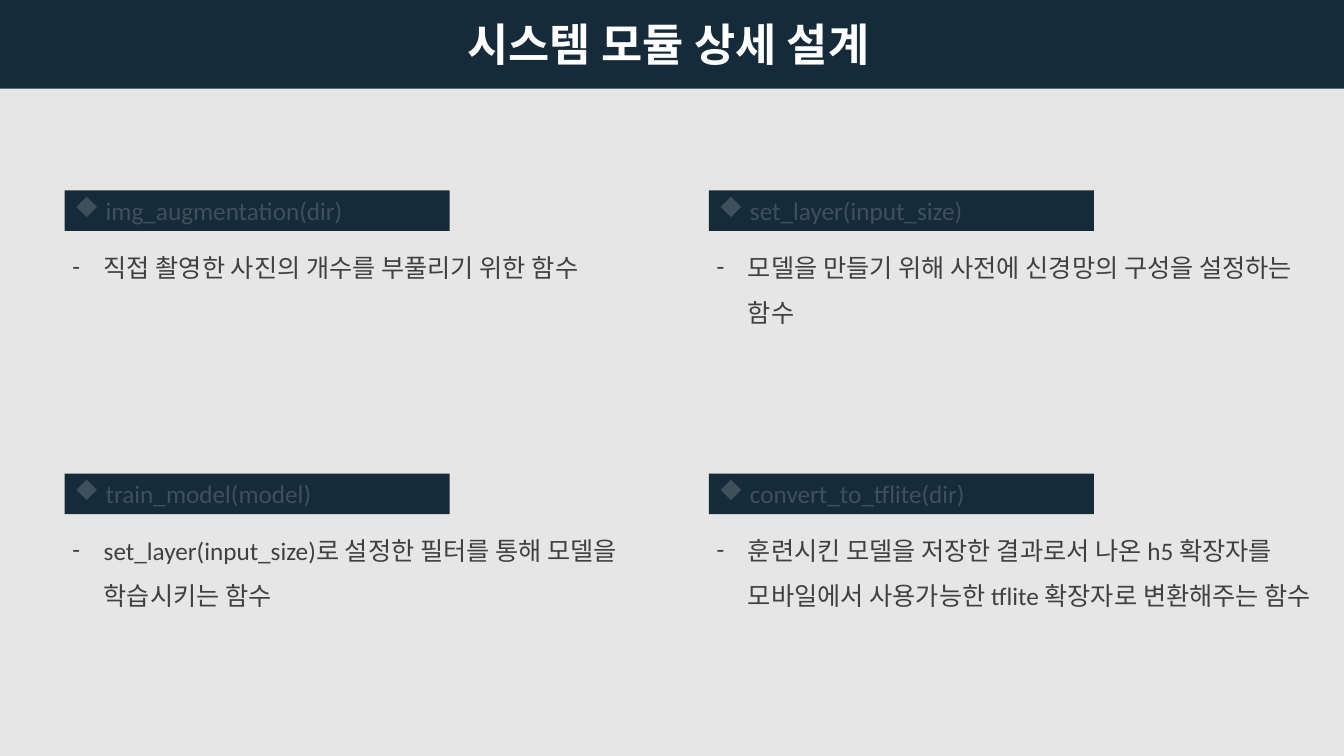
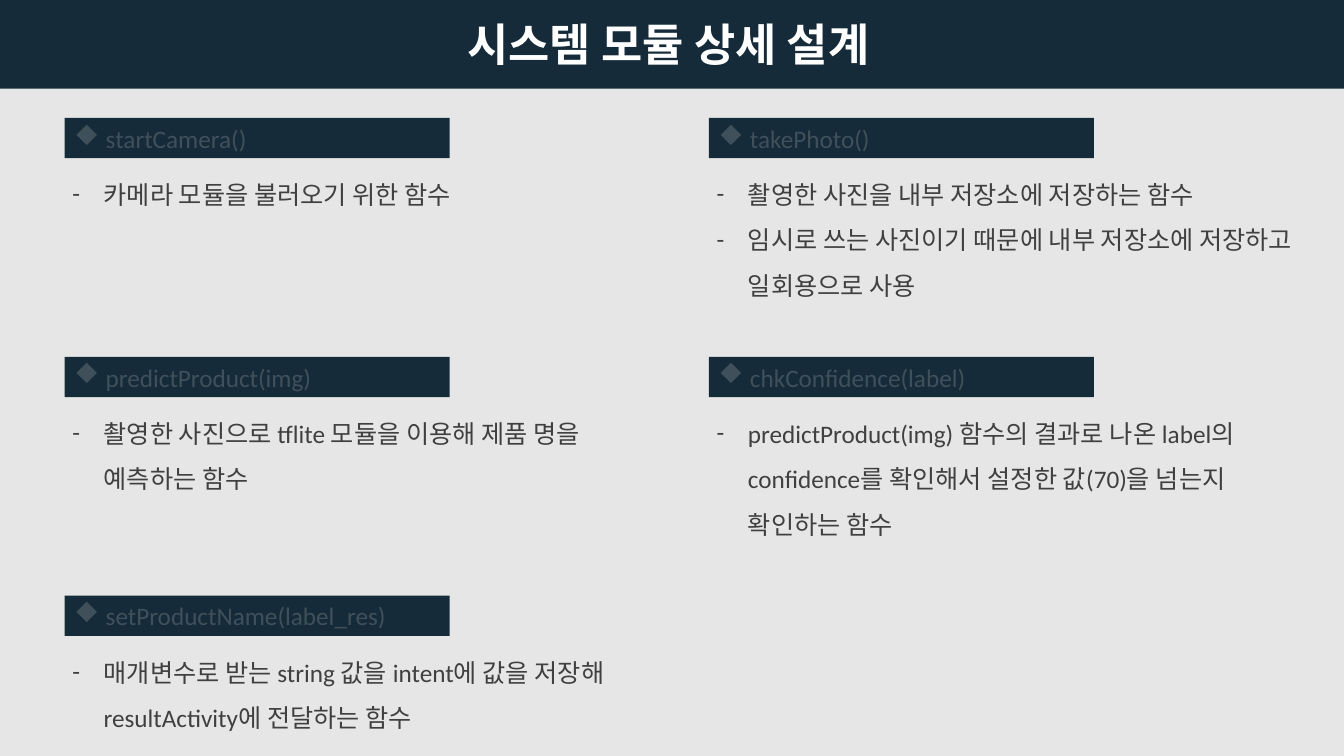
from dataclasses import dataclass

from lxml.etree import SubElement
from pptx import Presentation
from pptx.dml.color import RGBColor
from pptx.enum.shapes import MSO_SHAPE
from pptx.enum.text import MSO_ANCHOR, MSO_AUTO_SIZE, PP_ALIGN
from pptx.oxml.ns import qn
from pptx.util import Inches, Pt


@dataclass(frozen=True)
class Theme:
    font: str = "Calibri"
    background: RGBColor = RGBColor(0xE7, 0xE6, 0xE6)
    band: RGBColor = RGBColor(0x15, 0x2B, 0x39)
    title: RGBColor = RGBColor(0xFF, 0xFF, 0xFF)
    heading: RGBColor = RGBColor(0x40, 0x50, 0x5B)
    body: RGBColor = RGBColor(0x40, 0x40, 0x40)
    title_size: int = 32
    text_size: int = 18


@dataclass(frozen=True)
class FunctionCard:
    column: int
    row: int
    name: str
    notes: tuple[str, ...]
    width: float
    lines: int = 1


@dataclass(frozen=True)
class ModuleSlide:
    first_top: float
    row_step: float
    cards: tuple[FunctionCard, ...]


THEME = Theme()
TITLE = "시스템 모듈 상세 설계"
SLIDE_WIDTH, SLIDE_HEIGHT = 13.33, 7.5
COLUMN_LEFTS = (0.64, 7.03)
HEADING_WIDTH, HEADING_HEIGHT = 3.82, 0.4
BODY_OFFSET = 0.41
BULLET_INDENT = 0.31

MODULE_SLIDES = (
    ModuleSlide(1.89, 2.81, (
        FunctionCard(0, 0, "img_augmentation(dir)",
                     ("직접 촬영한 사진의 개수를 부풀리기 위한 함수",), 5.7),
        FunctionCard(0, 1, "train_model(model)",
                     ("set_layer(input_size)로 설정한 필터를 통해 모델을 학습시키는 함수",), 5.62, 2),
        FunctionCard(1, 0, "set_layer(input_size)",
                     ("모델을 만들기 위해 사전에 신경망의 구성을 설정하는 함수",), 6.24, 2),
        FunctionCard(1, 1, "convert_to_tflite(dir)",
                     ("훈련시킨 모델을 저장한 결과로서 나온 h5 확장자를 모바일에서 "
                      "사용가능한 tflite 확장자로 변환해주는 함수",), 6.1, 3),
    )),
    ModuleSlide(1.17, 2.37, (
        FunctionCard(0, 0, "startCamera()", ("카메라 모듈을 불러오기 위한 함수",), 5.7),
        FunctionCard(0, 1, "predictProduct(img)",
                     ("촬영한 사진으로 tflite 모듈을 이용해 제품 명을 예측하는 함수",), 5.7, 2),
        FunctionCard(0, 2, "setProductName(label_res)",
                     ("매개변수로 받는 string 값을 intent에 값을 저장해 "
                      "resultActivity에 전달하는 함수",), 6.17, 2),
        FunctionCard(1, 0, "takePhoto()",
                     ("촬영한 사진을 내부 저장소에 저장하는 함수",
                      "임시로 쓰는 사진이기 때문에 내부 저장소에 저장하고 일회용으로 사용"), 6.3, 3),
        FunctionCard(1, 1, "chkConfidence(label)",
                     ("predictProduct(img) 함수의 결과로 나온 label의 confidence를 "
                      "확인해서 설정한 값(70)을 넘는지 확인하는 함수",), 5.95, 3),
    )),
)


def style_text(paragraph, size: int, color: RGBColor, bold: bool = False) -> None:
    font = paragraph.font
    font.name, font.size, font.bold = THEME.font, Pt(size), bold
    font.color.rgb = color
    # Korean letters use the East Asian typeface
    defaults = paragraph._p.pPr.find(qn("a:defRPr"))
    latin = defaults.find(qn("a:latin"))
    latin.addnext(SubElement(defaults, qn("a:ea"), typeface=THEME.font))


def add_bullet(paragraph, symbol: str, typeface: str) -> None:
    properties = paragraph._p.get_or_add_pPr()
    properties.set("marL", str(Inches(BULLET_INDENT)))
    properties.set("indent", str(-Inches(BULLET_INDENT)))
    SubElement(properties, qn("a:buFont"), typeface=typeface)
    SubElement(properties, qn("a:buChar"), char=symbol)


def add_band(shapes, left: float, top: float, width: float, height: float):
    band = shapes.add_shape(MSO_SHAPE.RECTANGLE, Inches(left), Inches(top),
                            Inches(width), Inches(height))
    band.shadow.inherit = False
    band.fill.solid()
    band.fill.fore_color.rgb = THEME.band
    band.line.fill.background()
    return band


def add_text_box(shapes, left: float, top: float, width: float, height: float, wrap: bool):
    box = shapes.add_textbox(Inches(left), Inches(top), Inches(width), Inches(height))
    frame = box.text_frame
    frame.word_wrap = wrap
    frame.auto_size = MSO_AUTO_SIZE.SHAPE_TO_FIT_TEXT
    return frame


def add_title(slide) -> None:
    add_band(slide.shapes, 0, 0, SLIDE_WIDTH, 0.88)
    frame = add_text_box(slide.shapes, 4.32, 0.12, 4.62, 0.64, wrap=False)
    paragraph = frame.paragraphs[0]
    paragraph.text = TITLE
    paragraph.alignment = PP_ALIGN.CENTER
    style_text(paragraph, THEME.title_size, THEME.title, bold=True)


def add_card(slide, card: FunctionCard, top: float) -> None:
    shapes = slide.shapes.add_group_shape().shapes
    left = COLUMN_LEFTS[card.column]

    # Function name
    heading = add_band(shapes, left, top, HEADING_WIDTH, HEADING_HEIGHT)
    heading.text_frame.vertical_anchor = MSO_ANCHOR.MIDDLE
    paragraph = heading.text_frame.paragraphs[0]
    paragraph.text = card.name
    paragraph.alignment = PP_ALIGN.LEFT
    add_bullet(paragraph, "u", "Wingdings")
    style_text(paragraph, THEME.text_size, THEME.heading)

    # Description
    frame = add_text_box(shapes, left - 0.02, top + BODY_OFFSET, card.width,
                         0.05 + 0.45 * card.lines, wrap=True)
    for index, note in enumerate(card.notes):
        paragraph = frame.paragraphs[0] if index == 0 else frame.add_paragraph()
        paragraph.text = note
        add_bullet(paragraph, "-", THEME.font)
        paragraph.line_spacing = 1.5
        style_text(paragraph, THEME.text_size, THEME.body)


def add_module_slide(presentation, module: ModuleSlide) -> None:
    slide = presentation.slides.add_slide(presentation.slide_layouts[6])
    slide.background.fill.solid()
    slide.background.fill.fore_color.rgb = THEME.background
    add_title(slide)
    for card in module.cards:
        add_card(slide, card, module.first_top + card.row * module.row_step)


def main() -> None:
    presentation = Presentation()
    presentation.slide_width = Inches(SLIDE_WIDTH)
    presentation.slide_height = Inches(SLIDE_HEIGHT)
    for module in MODULE_SLIDES:
        add_module_slide(presentation, module)
    presentation.save("out.pptx")


if __name__ == "__main__":
    main()
